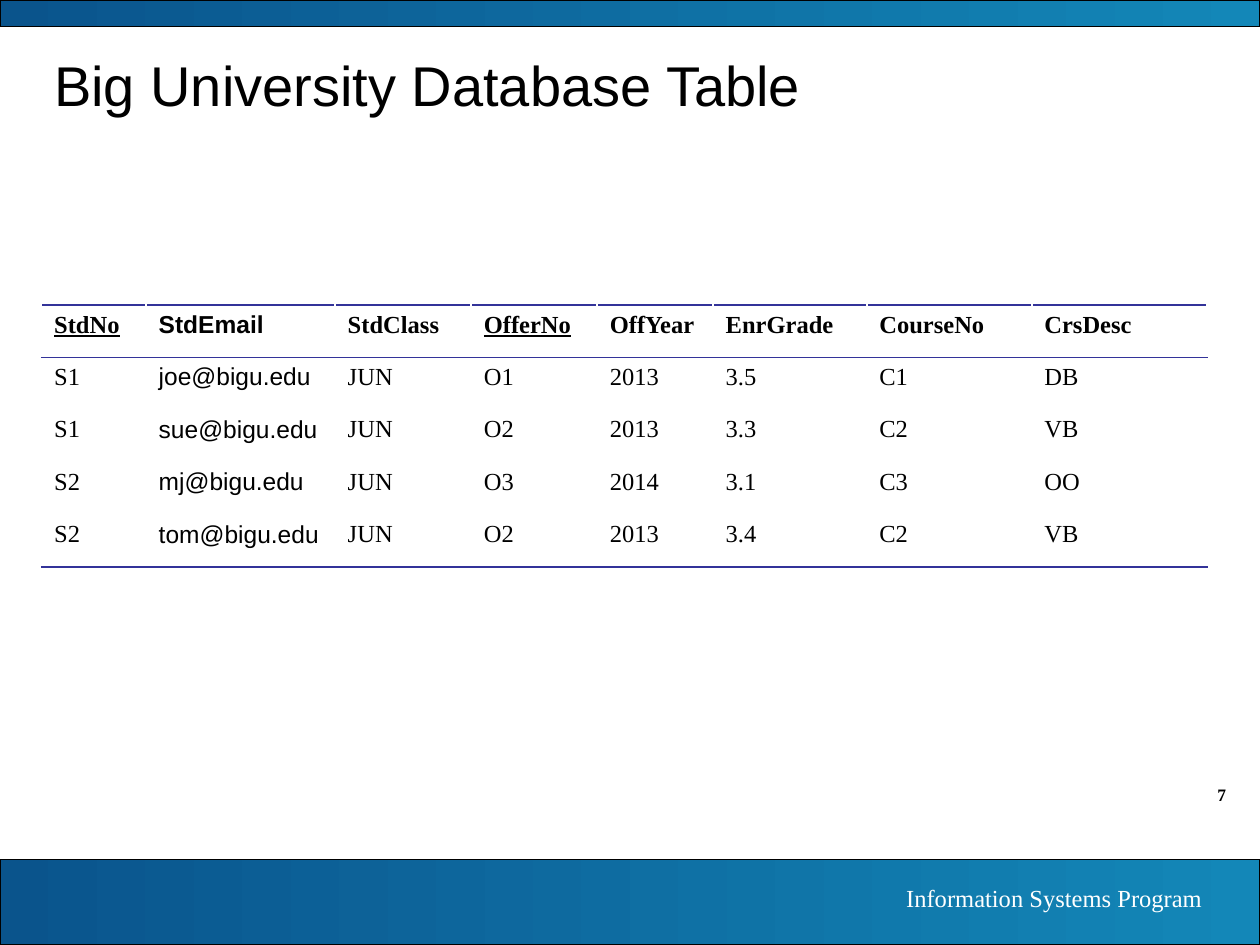
"""Build the Big University database table slide."""
from typing import NamedTuple

from lxml.etree import SubElement
from pptx import Presentation
from pptx.dml.color import RGBColor
from pptx.enum.shapes import MSO_SHAPE
from pptx.enum.text import MSO_ANCHOR, PP_ALIGN
from pptx.oxml.ns import qn
from pptx.util import Inches, Pt

BLACK = RGBColor(0x00, 0x00, 0x00)
WHITE = RGBColor(0xFF, 0xFF, 0xFF)
DEEP_BLUE = RGBColor(0x0A, 0x54, 0x8C)
LIGHT_BLUE = RGBColor(0x13, 0x87, 0xB8)
RULE_BLUE = RGBColor(0x33, 0x33, 0x99)
SERIF, SANS = "Times New Roman", "Arial"


class Column(NamedTuple):
    name: str
    width: float
    values: tuple[str, ...]
    font: str = SERIF
    key: bool = False


class Band(NamedTuple):
    top: float
    height: float


class Label(NamedTuple):
    text: str
    box: tuple[float, float, float, float]
    size: float
    color: RGBColor
    bold: bool = False


COLUMNS = (
    Column("StdNo", 0.83, ("S1", "S1", "S2", "S2"), key=True),
    Column("StdEmail", 1.5, ("joe@bigu.edu", "sue@bigu.edu", "mj@bigu.edu", "tom@bigu.edu"), SANS),
    Column("StdClass", 1.08, ("JUN",) * 4),
    Column("OfferNo", 1, ("O1", "O2", "O3", "O2"), key=True),
    Column("OffYear", 0.92, ("2013", "2013", "2014", "2013")),
    Column("EnrGrade", 1.22, ("3.5", "3.3", "3.1", "3.4")),
    Column("CourseNo", 1.31, ("C1", "C2", "C3", "C2")),
    Column("CrsDesc", 1.39, ("DB", "VB", "OO", "VB")),
)
BANDS = (Band(6.82, 0.68), Band(0, 0.21))
LABELS = (
    Label("7", (9, 6.17, 0.83, 0.27), 10, BLACK, True),
    Label("Information Systems Program", (5.55, 6.96, 4.09, 0.34), 14, WHITE),
)


def write(tf, text: str, *, size: float, font: str = SERIF, color: RGBColor = BLACK,
          bold: bool = False, underline: bool = False, align=PP_ALIGN.LEFT,
          before: float = 0, spacing: float = 1.0) -> None:
    p = tf.paragraphs[0]
    p.alignment = align
    p.space_before = Pt(before)
    p.line_spacing = spacing
    r = p.add_run()
    r.text = text
    r.font.name, r.font.size = font, Pt(size)
    r.font.bold, r.font.underline = bold, underline
    r.font.color.rgb = color


def add_band(s, band: Band) -> None:
    sp = s.shapes.add_shape(MSO_SHAPE.RECTANGLE, 0, Inches(band.top), Inches(10), Inches(band.height))
    sp.shadow.inherit = False
    sp.fill.gradient()
    sp.fill.gradient_angle = 0
    for stop, color, position in zip(sp.fill.gradient_stops, (DEEP_BLUE, LIGHT_BLUE), (0, 1)):
        stop.color.rgb = color
        stop.position = position
    sp.line.color.rgb = BLACK
    sp.line.width = Pt(0.75)


def add_label(s, label: Label) -> None:
    tf = s.shapes.add_textbox(*map(Inches, label.box)).text_frame
    tf.word_wrap = True
    write(tf, label.text, size=label.size, color=label.color, bold=label.bold, align=PP_ALIGN.RIGHT)


def add_rule(cell, edge: str) -> None:
    ln = SubElement(cell._tc.get_or_add_tcPr(), qn(f"a:{edge}"), w=str(Pt(1)))
    fill = SubElement(ln, qn("a:solidFill"))
    SubElement(fill, qn("a:srgbClr"), val=str(RULE_BLUE))


def add_data_table(s, columns: tuple[Column, ...]) -> None:
    rows = len(columns[0].values) + 1
    width = sum(column.width for column in columns)
    table = s.shapes.add_table(rows, len(columns), Inches(0.33), Inches(2.42),
                               Inches(width), Inches(2.08)).table
    table.first_row = table.horz_banding = False
    for j, column in enumerate(columns):
        table.columns[j].width = Inches(column.width)
        for i, text in enumerate((column.name, *column.values)):
            cell = table.cell(i, j)
            header = i == 0
            if i in (0, 1):
                add_rule(cell, "lnT")
            if i in (0, rows - 1):
                add_rule(cell, "lnB")
            cell.fill.background()
            write(cell.text_frame, text, size=14, font=column.font, bold=header,
                  underline=header and column.key, before=2.8)


def main() -> None:
    prs = Presentation()
    prs.slide_width, prs.slide_height = Inches(10), Inches(7.5)
    s = prs.slides.add_slide(prs.slide_layouts[5])
    for band in BANDS:
        add_band(s, band)
    for label in LABELS:
        add_label(s, label)
    title = s.shapes.title
    title.left, title.top, title.width, title.height = map(Inches, (0.33, 0.33, 9.17, 0.75))
    title.text_frame.vertical_anchor = MSO_ANCHOR.MIDDLE
    write(title.text_frame, "Big University Database Table", size=32, font=SANS, spacing=0.9)
    add_data_table(s, COLUMNS)
    prs.save("out.pptx")


if __name__ == "__main__":
    main()
